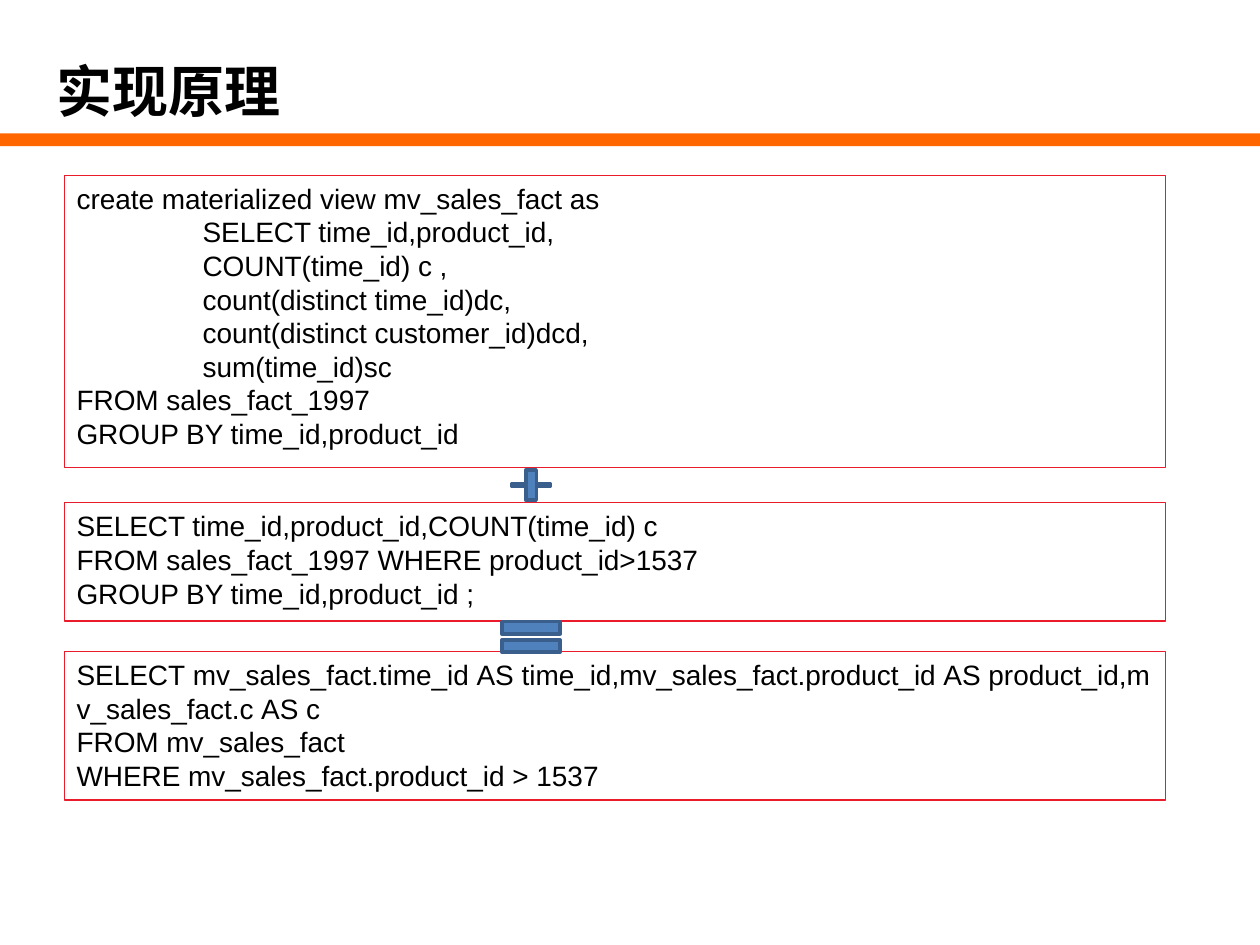
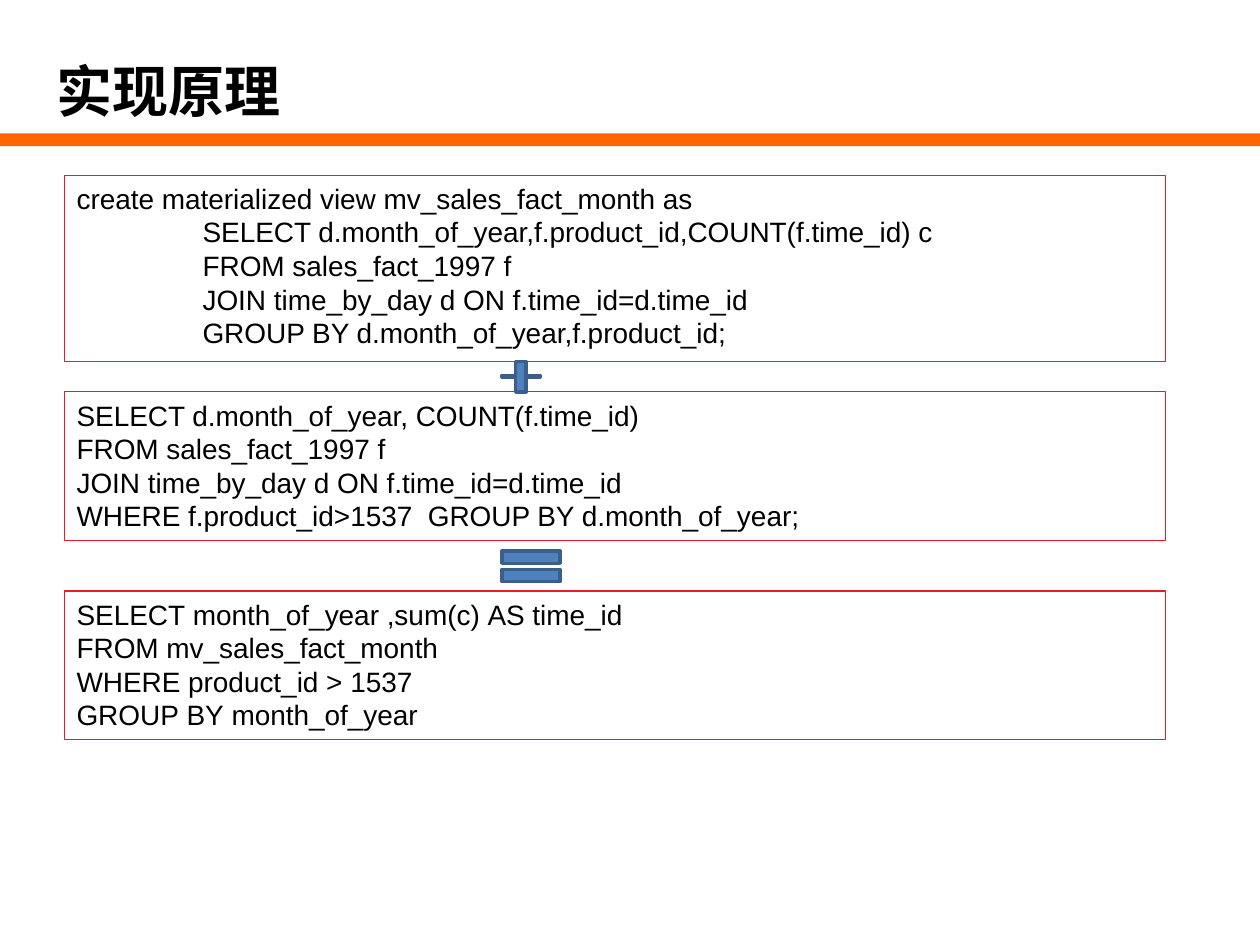
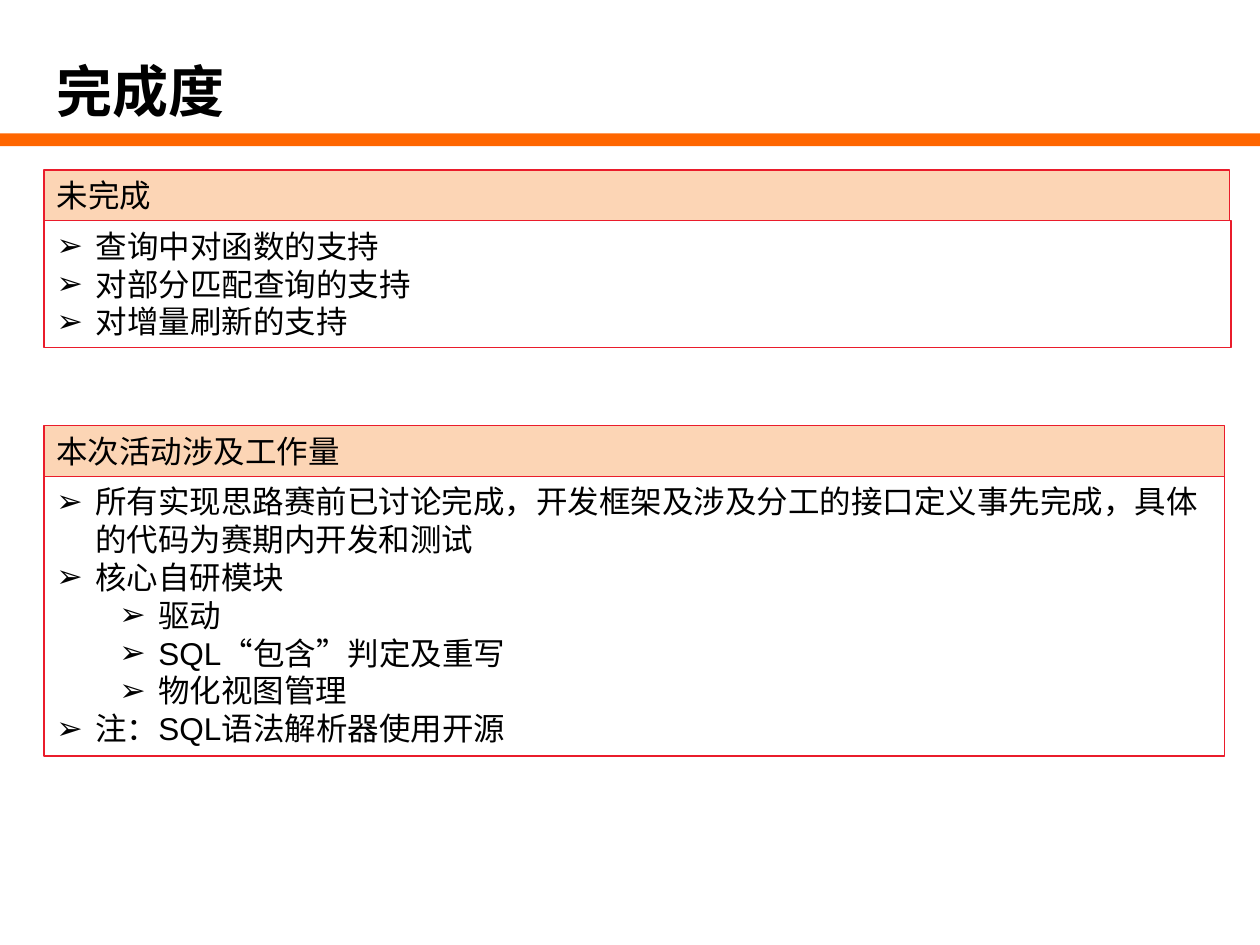
from lxml import etree
from pptx import Presentation
from pptx.dml.color import RGBColor
from pptx.enum.lang import MSO_LANGUAGE_ID
from pptx.enum.shapes import MSO_SHAPE
from pptx.enum.text import MSO_ANCHOR, PP_ALIGN
from pptx.oxml.ns import qn
from pptx.util import Inches, Pt

RECT, PLUS, EQUAL = MSO_SHAPE.RECTANGLE, MSO_SHAPE.CROSS, MSO_SHAPE.MATH_EQUAL
LEFT, TOP = PP_ALIGN.LEFT, MSO_ANCHOR.TOP
CHINESE = MSO_LANGUAGE_ID.SIMPLIFIED_CHINESE
COLORS = {"band": "FF6600", "text": "000000", "border": "EA1C2B",
          "header": "FCD5B5", "sign": "4F81BD", "sign_line": "3A5F8C"}
LATIN, CJK = "Arial", "Noto Sans CJK SC"
NBSP = "\u00a0"
BULLET = "➢"
TITLE = {"size": Pt(32), "name": CJK, "bold": True}
CODE = {"size": Pt(16), "name": LATIN}
BODY = {"size": Pt(18), "name": LATIN}


def add_box(slide, shape, box, fill=None, line=None, width=0.75):
    """Add a preset shape at box (inches) without a shadow."""
    sp = slide.shapes.add_shape(shape, *[Inches(v) for v in box])
    sp.shadow.inherit = False
    if fill:
        sp.fill.solid()
        sp.fill.fore_color.rgb = RGBColor.from_string(COLORS[fill])
    else:
        sp.fill.background()
    if line:
        sp.line.color.rgb = RGBColor.from_string(COLORS[line])
        sp.line.width = Pt(width)
    else:
        sp.line.fill.background()
    return sp


def write(sp, lines, font, bullets=False, step=1.0):
    """Write (level, text) lines; a level indents by step inches."""
    tf = sp.text_frame
    tf.word_wrap = True
    tf.vertical_anchor = TOP
    for i, (level, text) in enumerate(lines):
        p = tf.paragraphs[0] if i == 0 else tf.add_paragraph()
        p.alignment = LEFT
        pPr = p._p.get_or_add_pPr()
        hang = 0.31 if bullets else 0
        pPr.set("marL", str(Inches(hang + level * step)))
        pPr.set("indent", str(Inches(-hang)))
        if bullets:
            p.level = level
            etree.SubElement(pPr, qn("a:buFont")).set("typeface", LATIN)
            etree.SubElement(pPr, qn("a:buChar")).set("char", BULLET)
        r = p.add_run()
        r.text = text
        for name, value in font.items():
            setattr(r.font, name, value)
        r.font.language_id = CHINESE
        r.font.color.rgb = RGBColor.from_string(COLORS["text"])
        etree.SubElement(r._r.get_or_add_rPr(), qn("a:ea")).set("typeface", CJK)


prs = Presentation()
prs.slide_width, prs.slide_height = Inches(10), Inches(7.5)

# Shared title and band
slides = []
for title in ["实现原理", "实现原理", "完成度"]:
    slide = prs.slides.add_slide(prs.slide_layouts[6])
    add_box(slide, RECT, (0, 1.06, 10, 0.1), fill="band")
    sp = slide.shapes.add_textbox(Inches(0.35), Inches(0.4), Inches(6.38), Inches(0.64))
    write(sp, [(0, title)], TITLE)
    slides.append(slide)

# Slides 1 and 2: view + query = rewritten query
rewrites = [
    {"boxes": [
        (1.39, 2.32, [(0, "create materialized view mv_sales_fact as"),
                      (1, "SELECT time_id,product_id,"),
                      (1, "COUNT(time_id) c ,"),
                      (1, "count(distinct time_id)dc,"),
                      (1, "count(distinct customer_id)dcd,"),
                      (1, "sum(time_id)sc"),
                      (0, "FROM sales_fact_1997"),
                      (0, "GROUP BY time_id,product_id")]),
        (3.99, 0.94, [(0, "SELECT time_id,product_id,COUNT(time_id) c"),
                      (0, "FROM sales_fact_1997 WHERE product_id>1537"),
                      (0, "GROUP BY time_id,product_id ;")]),
        (5.17, 1.18, [(0, "SELECT mv_sales_fact.time_id AS time_id,"
                          "mv_sales_fact.product_id AS product_id,"
                          "mv_sales_fact.c AS c"),
                      (0, "FROM mv_sales_fact"),
                      (0, "WHERE mv_sales_fact.product_id > 1537")])],
     "plus": (4.06, 3.73), "equal": (3.9, 4.85)},
    {"boxes": [
        (1.39, 1.48, [(0, "create materialized view mv_sales_fact_month as"),
                      (1, "SELECT d.month_of_year,f.product_id,COUNT(f.time_id) c"),
                      (1, "FROM sales_fact_1997 f"),
                      (1, "JOIN time_by_day d ON f.time_id=d.time_id"),
                      (1, "GROUP BY d.month_of_year,f.product_id;")]),
        (3.11, 1.18, [(0, "SELECT d.month_of_year, COUNT(f.time_id)"),
                      (0, "FROM sales_fact_1997 f"),
                      (0, "JOIN time_by_day d ON f.time_id=d.time_id"),
                      (0, "WHERE f.product_id>1537  GROUP BY d.month_of_year;")]),
        (4.69, 1.18, [(0, "SELECT month_of_year ,sum(c) AS time_id"),
                      (0, "FROM mv_sales_fact_month"),
                      (0, "WHERE product_id > 1537"),
                      (0, "GROUP BY month_of_year")])],
     "plus": (3.98, 2.87), "equal": (3.9, 4.29)},
]
for slide, rewrite in zip(slides, rewrites):
    for i, (top, height, lines) in enumerate(rewrite["boxes"]):
        if i == 2:  # the rewritten query breaks only at the box edge
            lines = [(level, text.replace(" ", NBSP)) for level, text in lines]
        sp = add_box(slide, RECT, (0.51, top, 8.74, height), line="border")
        write(sp, lines, CODE)
    sp = add_box(slide, PLUS, (*rewrite["plus"], 0.31, 0.24), "sign", "sign_line", 2)
    sp.adjustments[0] = 0.472
    add_box(slide, EQUAL, (*rewrite["equal"], 0.63, 0.41), "sign", "sign_line", 2)

# Slide 3: headed bullet lists
HEADER_HEIGHT = 0.4
panels = [
    (1.35, 9.41, 9.42, 1.01, "未完成",
     [(0, "查询中对函数的支持"), (0, "对部分匹配查询的支持"), (0, "对增量刷新的支持")]),
    (3.38, 9.37, 9.37, 2.22, "本次活动涉及工作量",
     [(0, "所有实现思路赛前已讨论完成，开发框架及涉及分工的接口定义事先完成，"
          "具体的代码为赛期内开发和测试"),
      (0, "核心自研模块"),
      (1, "驱动"),
      (1, "SQL“包含”判定及重写"),
      (1, "物化视图管理"),
      (0, "注：SQL语法解析器使用开源")]),
]
for top, header_width, width, height, header, lines in panels:
    sp = add_box(slides[2], RECT, (0.35, top + HEADER_HEIGHT, width, height), line="border")
    write(sp, lines, BODY, bullets=True, step=0.5)
    sp = add_box(slides[2], RECT, (0.35, top, header_width, HEADER_HEIGHT), "header", "border")
    write(sp, [(0, header)], BODY)

prs.save("out.pptx")
